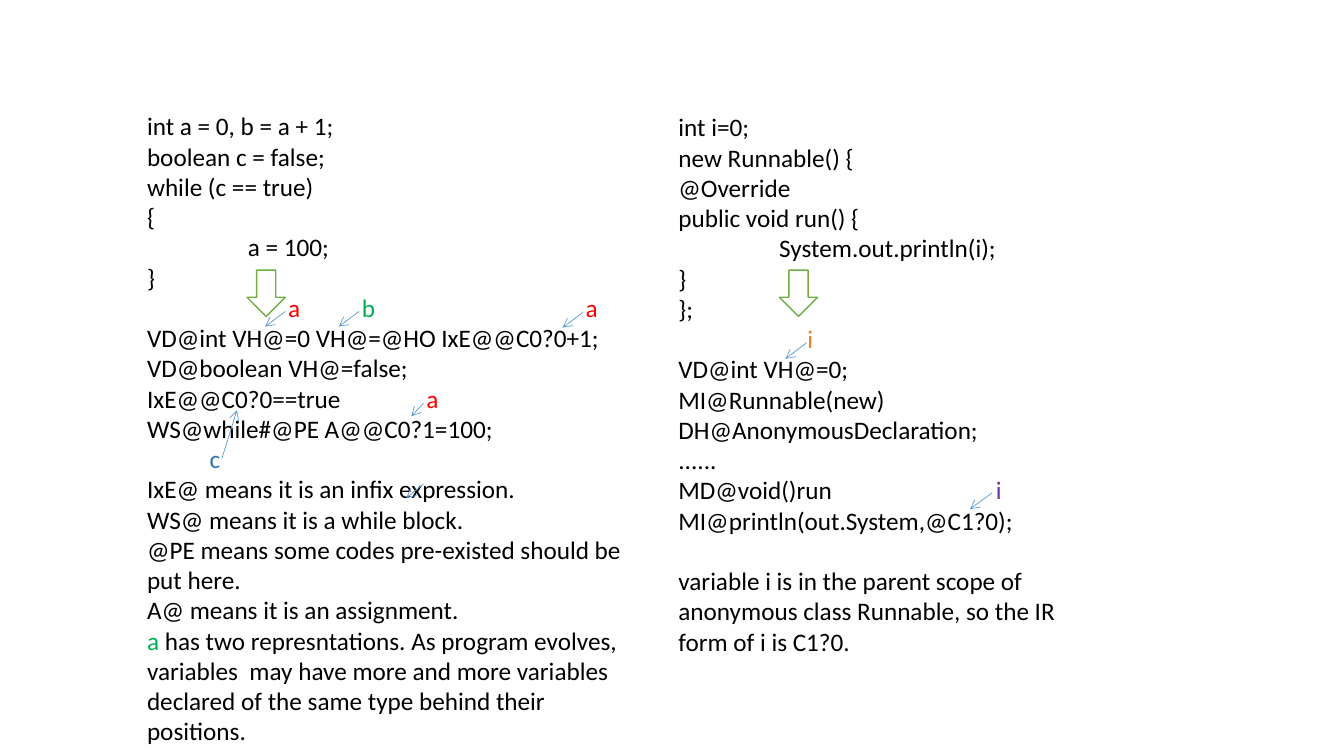
from dataclasses import dataclass

from lxml import etree
from pptx import Presentation
from pptx import util as u
from pptx.dml.color import RGBColor
from pptx.enum import shapes, text
from pptx.oxml import ns

BLACK = RGBColor(0x00, 0x00, 0x00)
WHITE = RGBColor(0xFF, 0xFF, 0xFF)
RED = RGBColor(0xFF, 0x00, 0x00)
GREEN = RGBColor(0x00, 0xB0, 0x50)
NAVY = RGBColor(0x2E, 0x75, 0xB6)
ORANGE = RGBColor(0xED, 0x7D, 0x31)
PURPLE = RGBColor(0x70, 0x30, 0xA0)
LEAF = RGBColor(0x70, 0xAD, 0x47)
SKY = RGBColor(0x5B, 0x9B, 0xD5)

FONT = {"name": "Calibri", "size": u.Pt(18)}
FRAME = {"word_wrap": True, "auto_size": text.MSO_AUTO_SIZE.SHAPE_TO_FIT_TEXT}
GAP = u.Pt(21.6)  # one line of text


def cell(n: float) -> int:
    """Length of n grid cells, each a tenth of an inch."""
    return u.Inches(n / 10)


@dataclass
class Span:
    words: str
    hue: RGBColor = BLACK
    tab: float = 0  # cells from the text edge, 0 for no tab


@dataclass
class Line:
    spans: list[Span]
    gap: bool = False


@dataclass
class Block:
    col: float
    row: float
    wide: float
    high: float
    lines: list[str | Line]


@dataclass
class Link:
    col: float
    row: float
    right: float
    down: float


# Code, its encoded form and the notes
LOOP = Block(13.6, 10.5, 51.8, 61, [
    "int a = 0, b = a + 1;",
    "boolean c = false;",
    "while (c == true)",
    "{",
    Line([Span("a = 100;", tab=10)]),
    "}",
    Line([Span("a", RED, 14), Span("b", GREEN, 21.3), Span("a", RED, 43.5)]),
    "VD@int VH@=0 VH@=@HO IxE@@C0?0+1;",
    "VD@boolean VH@=false;",
    Line([Span("IxE@@C0?0==true"), Span("a", RED, 27.7)]),
    "WS@while#@PE A@@C0?1=100;",
    Line([Span("c", NAVY, 6.2)]),
    "IxE@ means it is an infix expression.",
    "WS@ means it is a while block.",
    "@PE means some codes pre-existed should be put here.",
    "A@ means it is an assignment.",
    Line([Span("a", GREEN),
          Span(" has two represntations. As program evolves, variables  may have "
               "more and more variables declared of the same type behind their "
               "positions.")]),
])
TASK = Block(66.3, 10.6, 41.5, 55, [
    "int i=0;",
    "new Runnable() {",
    "@Override",
    "public void run() {",
    Line([Span("System.out.println(i);", tab=10)]),
    "}",
    "};",
    Line([Span("i", ORANGE, 12.8)]),
    "VD@int VH@=0;",
    "MI@Runnable(new)",
    "DH@AnonymousDeclaration;",
    "......",
    Line([Span("MD@void()run"), Span("i", PURPLE, 31.5)]),
    "MI@println(out.System,@C1?0);",
    Line([Span("variable i is in the parent scope of anonymous class Runnable, "
               "so the IR form of i is C1?0.")], gap=True),
])

# Pointers from each variable to its encoded use
LINKS = [
    Link(42, 48, -1.7, 1.4),
    Link(42, 40, -1.2, 1.3),
    Link(22, 45.5, 1.5, -4.8),
    Link(98.4, 48.9, -2.2, 1.6),
    Link(35.6, 30.9, -2, 1.5),
    Link(57.8, 31, -2, 1.5),
    Link(28.3, 30.9, -2, 1.5),
    Link(80, 34, -2.1, 1.6),
]


def set_all(item: object, values: dict) -> None:
    for key, value in values.items():
        setattr(item, key, value)


def add_tabs(para, stops: list[float]) -> None:
    tabs = etree.SubElement(para._p.get_or_add_pPr(), ns.qn("a:tabLst"))
    for stop in stops:
        etree.SubElement(tabs, ns.qn("a:tab"), pos=str(cell(stop)), algn="l")


def draw_text(slide, block: Block) -> None:
    box = slide.shapes.add_textbox(
        cell(block.col), cell(block.row), cell(block.wide), cell(block.high))
    frame = box.text_frame
    set_all(frame, FRAME)
    for i, line in enumerate(block.lines):
        if isinstance(line, str):
            line = Line([Span(line)])
        para = frame.add_paragraph() if i else frame.paragraphs[0]
        if line.gap:
            para.space_before = GAP
        stops = [span.tab for span in line.spans if span.tab]
        if stops:
            add_tabs(para, stops)
        for span in line.spans:
            run = para.add_run()
            run.text = "\t" + span.words if span.tab else span.words
            set_all(run.font, FONT)
            run.font.color.rgb = span.hue


def draw_step(slide, col: float) -> None:
    step = slide.shapes.add_shape(
        shapes.MSO_SHAPE.DOWN_ARROW, cell(col), cell(26.8), cell(3.8), cell(4.6))
    step.shadow.inherit = False
    step.fill.solid()
    step.fill.fore_color.rgb = WHITE
    step.line.color.rgb = LEAF
    step.line.width = u.Pt(1)


def draw_link(slide, link: Link) -> None:
    line = slide.shapes.add_connector(
        shapes.MSO_CONNECTOR.STRAIGHT, cell(link.col), cell(link.row),
        cell(link.col + link.right), cell(link.row + link.down))
    line.line.color.rgb = SKY
    line.line.width = u.Pt(0.5)
    etree.SubElement(line.line._get_or_add_ln(), ns.qn("a:tailEnd"), type="arrow")
    etree.SubElement(line._element.spPr, ns.qn("a:effectLst"))


def main() -> None:
    deck = Presentation()
    set_all(deck, {"slide_width": u.Inches(13.33), "slide_height": u.Inches(7.5)})
    slide = deck.slides.add_slide(deck.slide_layouts[6])

    # Each block with its step arrow
    for block, col in ((LOOP, 24.5), (TASK, 77.3)):
        draw_text(slide, block)
        draw_step(slide, col)

    # Pointers on top
    for link in LINKS:
        draw_link(slide, link)

    deck.save("out.pptx")


if __name__ == "__main__":
    main()
